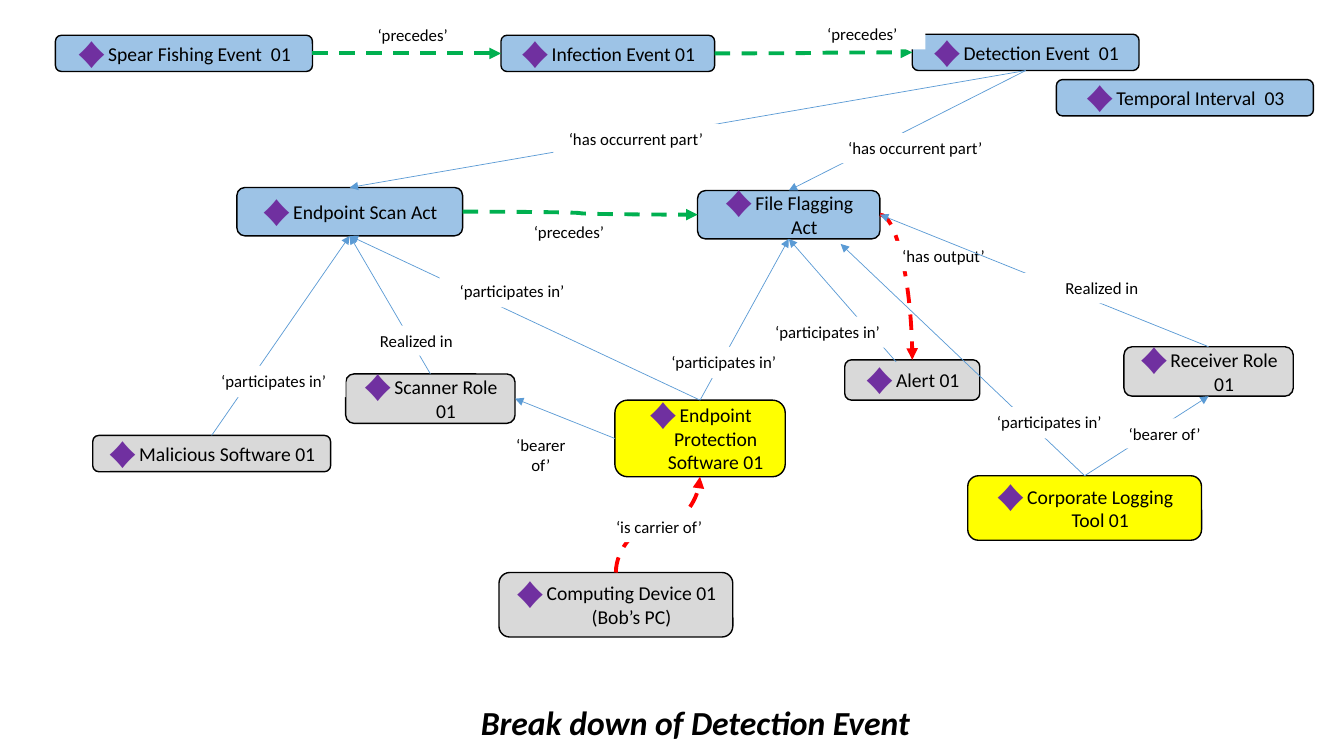
from dataclasses import dataclass

from lxml import etree
from pptx import Presentation
from pptx.dml.color import RGBColor
from pptx.enum.dml import MSO_LINE
from pptx.enum.shapes import MSO_CONNECTOR, MSO_SHAPE
from pptx.enum.text import MSO_ANCHOR, MSO_AUTO_SIZE, PP_ALIGN
from pptx.oxml.ns import qn
from pptx.util import Inches, Pt

BLACK = RGBColor(0x00, 0x00, 0x00)
WHITE = RGBColor(0xFF, 0xFF, 0xFF)
EVENT_BLUE = RGBColor(0x9D, 0xC3, 0xE6)
ENTITY_GRAY = RGBColor(0xD9, 0xD9, 0xD9)
TOOL_YELLOW = RGBColor(0xFF, 0xFF, 0x00)
DIAMOND_PURPLE = RGBColor(0x70, 0x30, 0xA0)
LINK_BLUE = RGBColor(0x5B, 0x9B, 0xD5)
ORDER_GREEN = RGBColor(0x00, 0xB0, 0x50)
FLOW_RED = RGBColor(0xFF, 0x00, 0x00)

ROUNDED = MSO_SHAPE.ROUNDED_RECTANGLE
STRAIGHT, CURVE = MSO_CONNECTOR.STRAIGHT, MSO_CONNECTOR.CURVE
DASH = MSO_LINE.DASH
LEFT_ALIGN, CENTER = PP_ALIGN.LEFT, PP_ALIGN.CENTER
TOP_ANCHOR, MIDDLE = MSO_ANCHOR.TOP, MSO_ANCHOR.MIDDLE
NO_AUTOSIZE = MSO_AUTO_SIZE.NONE

FONT = "Calibri"
COLUMNS, ROWS = 133.33, 75
TITLE_ONLY = 5
TOP, LEFT, BOTTOM, RIGHT = range(4)  # connection sites of a rounded rectangle

# name: (text, fill, column, row, columns wide, rows high)
NODES = {
    "fishing": ("Spear Fishing Event  01", EVENT_BLUE, 5.5, 3.5, 25.5, 3.6),
    "infection": ("Infection Event 01", EVENT_BLUE, 49.7, 3.5, 21.2, 3.6),
    "detection": ("Detection Event  01", EVENT_BLUE, 90.5, 3.4, 22.5, 3.6),
    "interval": ("Temporal Interval  03", EVENT_BLUE, 104.8, 7.9, 25.5, 3.6),
    "scan": ("Endpoint Scan Act", EVENT_BLUE, 23.5, 18.6, 22.4, 4.8),
    "flagging": ("File Flagging Act", EVENT_BLUE, 69.2, 18.9, 18.1, 4.8),
    "protection": ("Endpoint Protection Software 01", TOOL_YELLOW, 61, 39.7, 16.9, 7.6),
    "malware": ("Malicious Software 01", ENTITY_GRAY, 9.2, 43.2, 23.6, 3.6),
    "device": ("Computing Device 01 (Bob’s PC)", ENTITY_GRAY, 49.5, 56.8, 23.2, 6.4),
    "alert": ("Alert 01", ENTITY_GRAY, 83.8, 35.7, 13.4, 4),
    "logging": ("Corporate Logging Tool 01", TOOL_YELLOW, 96, 47.2, 23.2, 6.4),
    "scanner": ("Scanner Role 01", ENTITY_GRAY, 34.3, 37.1, 16.8, 4.9),
    "receiver": ("Receiver Role 01", ENTITY_GRAY, 111.5, 34.4, 16.8, 4.9),
}

PRECEDES, OCCURRENT = "‘precedes’", "‘has occurrent part’"
PARTICIPATES, REALIZED, BEARER = "‘participates in’", "Realized in", "‘bearer of’"
OUTPUT, CARRIER = "‘has output’", " ‘is carrier of’"

# (from, to, label, label column, label row, label columns, label rows);
# an end is (node, site), or (column, row) for a free point
ORDER_LINKS = [
    (("infection", RIGHT), ("detection", LEFT), PRECEDES, 79.3, 1.9, 12.5, 3),
    (("fishing", RIGHT), ("infection", LEFT), PRECEDES, 34.7, 2, 12.5, 3),
    (("scan", RIGHT), ("flagging", LEFT), PRECEDES, 50.2, 21.5, 12.5, 3),
]
FLOW_LINKS = [
    (("alert", "flagging"), OUTPUT, 87.4, 23.9),
    (("protection", "device"), CARRIER, 59, 50.8),
]
PLAIN_LINKS = [
    (("detection", BOTTOM), ("scan", TOP), OCCURRENT, 54.9, 12.3, 16.4, 3),
    (("detection", BOTTOM), ("flagging", TOP), OCCURRENT, 82.6, 13.2, 16.4, 3),
    (("protection", TOP), ("flagging", BOTTOM), PARTICIPATES, 64.6, 34.4, 14.4, 3.1),
    (("malware", TOP), ("scan", BOTTOM), PARTICIPATES, 20, 36.3, 14.3, 3.1),
    (("protection", TOP), ("scan", BOTTOM), PARTICIPATES, 43.6, 27.4, 14.4, 3.1),
    ((88.9, 35.9), ("flagging", BOTTOM), PARTICIPATES, 74.9, 31.4, 14.4, 3.1),
    (("logging", TOP), (83.4, 24.2), PARTICIPATES, 96.9, 40.4, 14.4, 3.1),
    (("receiver", TOP), ("flagging", RIGHT), REALIZED, 101.1, 27.1, 16.4, 3),
    (("logging", TOP), ("receiver", BOTTOM), BEARER, 109.3, 41.5, 12.5, 3),
    (("protection", LEFT), ("scanner", RIGHT), BEARER, 49.6, 42.6, 8.1, 5),
    (("scanner", TOP), ("scan", BOTTOM), REALIZED, 33.1, 32.3, 16.4, 3),
]


@dataclass
class Grid:
    """A box divided into equal columns and rows."""
    left: int
    top: int
    width: int
    height: int

    def point(self, column, row):
        """Return the position of a grid point."""
        return (round(self.left + self.width * column / COLUMNS),
                round(self.top + self.height * row / ROWS))

    def box(self, column, row, columns, rows):
        """Return left, top, width and height of a block of cells."""
        left, top = self.point(column, row)
        return (left, top, round(self.width * columns / COLUMNS),
                round(self.height * rows / ROWS))


def write_text(shape, text, size=12, bold=False, italic=False, align=CENTER,
               anchor=TOP_ANCHOR, wrap=True):
    """Fill a shape with one formatted paragraph and return it."""
    frame = shape.text_frame
    frame.auto_size = NO_AUTOSIZE
    frame.word_wrap = wrap
    frame.vertical_anchor = anchor
    paragraph = frame.paragraphs[0]
    paragraph.alignment = align
    paragraph.line_spacing = 1.0
    run = paragraph.add_run()
    run.text = text
    font = run.font
    font.name, font.size, font.bold, font.italic = FONT, Pt(size), bold, italic
    font.color.rgb = BLACK
    return paragraph


def add_diamond_bullet(paragraph):
    """Give a paragraph a large purple diamond bullet with a hanging indent."""
    properties = paragraph._p.get_or_add_pPr()
    indent = Inches(0.31)
    properties.set("marL", str(indent))
    properties.set("indent", str(-indent))
    color = etree.SubElement(properties, qn("a:buClr"))
    etree.SubElement(color, qn("a:srgbClr"), val=str(DIAMOND_PURPLE))
    etree.SubElement(properties, qn("a:buSzPct"), val="150000")
    etree.SubElement(properties, qn("a:buFont"), typeface=FONT)
    etree.SubElement(properties, qn("a:buChar"), char="♦")


def add_node(slide, grid, text, fill, *cells):
    """Draw one rounded box of the diagram."""
    shape = slide.shapes.add_shape(ROUNDED, *grid.box(*cells))
    shape.shadow.inherit = False
    shape.fill.solid()
    shape.fill.fore_color.rgb = fill
    shape.line.color.rgb = BLACK
    shape.line.width = Pt(1)
    add_diamond_bullet(write_text(shape, text, size=14, anchor=MIDDLE))
    return shape


def add_label(slide, grid, text, *cells):
    """Write a relation's name on a white ground."""
    label = slide.shapes.add_textbox(*grid.box(*cells))
    label.fill.solid()
    label.fill.fore_color.rgb = WHITE
    write_text(label, text)


def add_arrow(slide, grid, nodes, start, end, color, kind=STRAIGHT, width=0.5, dash=None):
    """Draw an arrow between two ends, glued to the nodes they name."""
    arrow = slide.shapes.add_connector(kind, 0, 0, 0, 0)
    if start[0] in nodes:
        arrow.begin_connect(nodes[start[0]], start[1])
    else:
        arrow.begin_x, arrow.begin_y = grid.point(*start)
    if end[0] in nodes:
        arrow.end_connect(nodes[end[0]], end[1])
    else:
        arrow.end_x, arrow.end_y = grid.point(*end)
    arrow.line.color.rgb = color
    arrow.line.width = Pt(width)
    if dash:
        arrow.line.dash_style = dash
    properties = arrow._element.spPr
    etree.SubElement(properties.find(qn("a:ln")), qn("a:tailEnd"), type="triangle")
    etree.SubElement(properties, qn("a:effectLst"))
    return arrow


def turn_upright(arrow):
    """Make a rising curved arrow leave and arrive vertically."""
    width, height = arrow.width, arrow.height
    arrow.left += (width - height) // 2
    arrow.top += (height - width) // 2
    arrow.width, arrow.height = height, width
    transform = arrow._element.spPr.find(qn("a:xfrm"))
    for name, value in (("rot", "5400000"), ("flipH", "1"), ("flipV", "1")):
        transform.set(name, value)


def add_diagram(slide, grid):
    """Draw the nodes, then every relation with its label on top."""
    nodes = {name: add_node(slide, grid, *node) for name, node in NODES.items()}
    thick = {"kind": CURVE, "width": 2.75, "dash": DASH}
    for start, end, *label in ORDER_LINKS:
        add_arrow(slide, grid, nodes, start, end, ORDER_GREEN, **thick)
        add_label(slide, grid, *label)
    for (target, source), text, column, row in FLOW_LINKS:
        rising = source == "device"
        start = (source, TOP if rising else RIGHT)
        end = (target, BOTTOM if rising else TOP)
        arrow = add_arrow(slide, grid, nodes, start, end, FLOW_RED, **thick)
        if rising:
            turn_upright(arrow)
        else:
            arrow._element.spPr.find(qn("a:prstGeom")).set("prst", "curvedConnector2")
        add_label(slide, grid, text, column, row, 12.4, 3)
    for start, end, *label in PLAIN_LINKS:
        add_arrow(slide, grid, nodes, start, end, LINK_BLUE)
        add_label(slide, grid, *label)


def add_title(slide, grid):
    """Move the title placeholder below the diagram and fill it."""
    title = slide.shapes.title
    title.left, title.top, title.width, title.height = grid.box(46.7, 69.1, 45, 5)
    write_text(title, "Break down of Detection Event", size=24, bold=True, italic=True,
               align=LEFT_ALIGN, wrap=False)


presentation = Presentation()
presentation.slide_width, presentation.slide_height = Inches(13.33), Inches(7.5)
slide = presentation.slides.add_slide(presentation.slide_layouts[TITLE_ONLY])
slide_grid = Grid(0, 0, presentation.slide_width, presentation.slide_height)
add_title(slide, slide_grid)
add_diagram(slide, slide_grid)
presentation.save("out.pptx")
